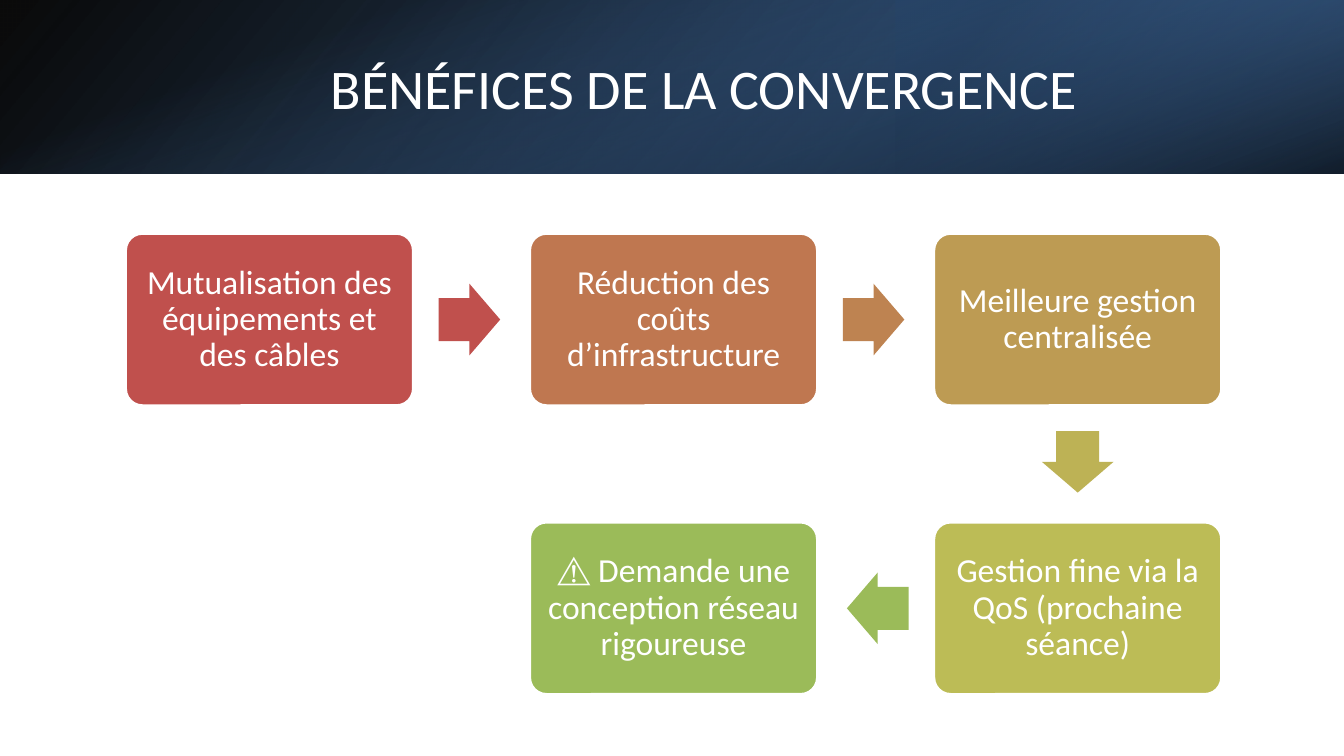
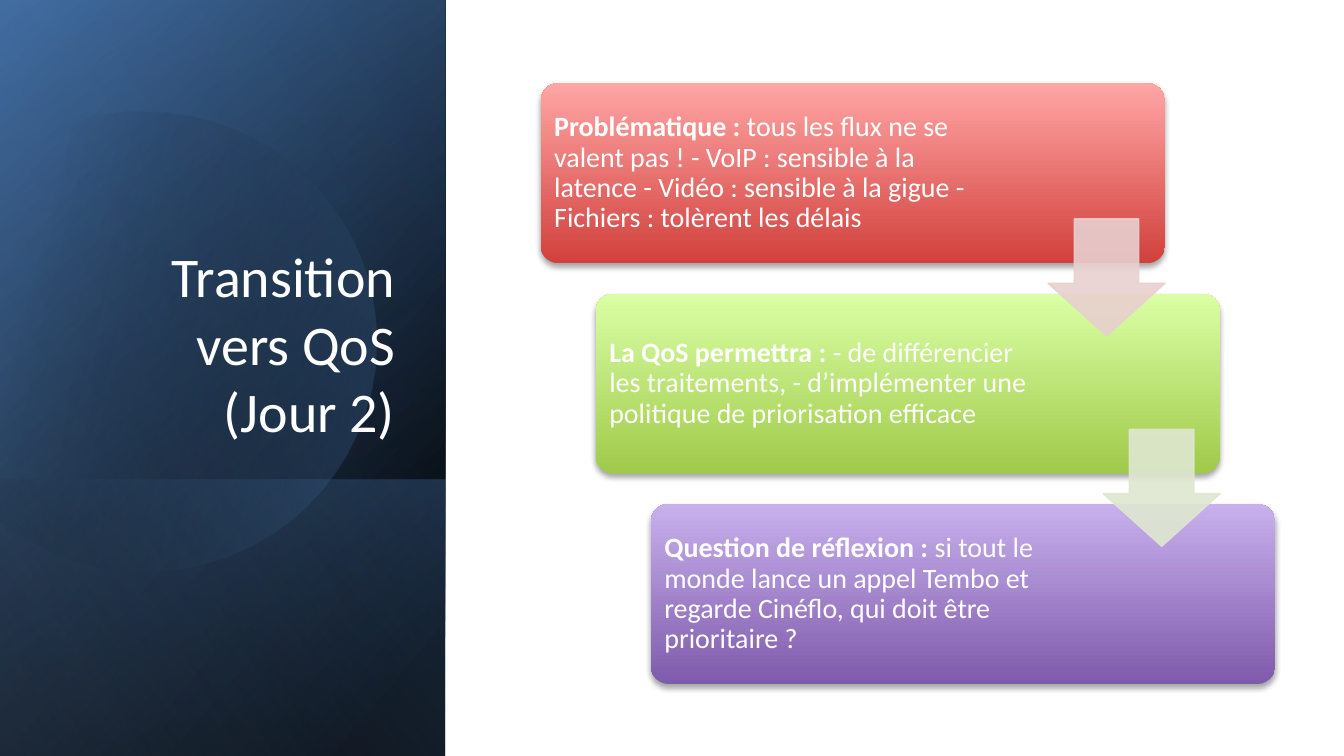
from dataclasses import dataclass
from itertools import pairwise
from math import atan2, cos, degrees, radians, sin
from typing import NamedTuple

from lxml.etree import SubElement
from pptx import Presentation
from pptx.dml.color import RGBColor
from pptx.enum.shapes import MSO_SHAPE
from pptx.enum.text import MSO_ANCHOR, MSO_AUTO_SIZE, PP_ALIGN
from pptx.oxml.ns import qn
from pptx.shapes.autoshape import Shape
from pptx.slide import Slide
from pptx.text.text import TextFrame
from pptx.util import Pt


@dataclass(frozen=True)
class Theme:
    font: str = "Calibri"
    title_size: float = 30
    step_size: float = 18
    stage_size: float = 15
    white: str = "FFFFFF"
    black: str = "000000"
    navy: str = "254061"
    steel: str = "376092"
    blue: str = "4F81BD"
    pale_blue: str = "95B3D7"
    step_fills: tuple[str, ...] = ("C0504D", "BF7750", "BD9B53", "BCBC56", "9BBB59")
    step_arrows: tuple[str, ...] = ("C0504D", "BE8351", "BDB255", "9BBB59")
    stage_darks: tuple[str, ...] = ("D1403C", "A0CA4A", "7F5BAB")
    stage_lights: tuple[str, ...] = ("FFA6A5", "DAFFA5", "C8B0ED")
    stage_arrows: tuple[str, ...] = ("E8D0D0", "DEE7D1")


THEME = Theme()


class Box(NamedTuple):
    x: float
    y: float
    w: float
    h: float

    @property
    def center(self) -> tuple[float, float]:
        return self.x + self.w / 2, self.y + self.h / 2

    def inset(self, d: float) -> "Box":
        return Box(self.x + d, self.y + d, self.w - 2 * d, self.h - 2 * d)


class Stop(NamedTuple):
    pos: int
    color: str
    alpha: int = 100


class Band(NamedTuple):
    box: Box
    stops: tuple[Stop, Stop]
    angle: int
    rotation: int = 0
    flip: bool = True


class Step(NamedTuple):
    text: str
    col: int
    row: int


class Stage(NamedTuple):
    lead: str
    body: str
    text_width: float


HEADER = Box(0, 0, 720, 93)
PANEL = Box(0, 0, 238.5, 405)

HEADER_BANDS = (
    Band(HEADER, (Stop(0, THEME.black, 96), Stop(100, THEME.steel)), 140),
    Band(Box(480, 0, 240, 93), (Stop(19, THEME.navy, 68), Stop(100, THEME.blue, 79)), 320, 180),
    Band(HEADER, (Stop(23, THEME.blue, 0), Stop(99, THEME.black, 74)), 340, 90, False),
)
PANEL_BANDS = (
    Band(PANEL, (Stop(8, THEME.black), Stop(100, THEME.steel)), 50, 90),
    Band(PANEL, (Stop(0, THEME.black, 0), Stop(99, THEME.blue, 46)), 30, 90),
    Band(Box(0, 257, 238.5, 148), (Stop(2, THEME.blue, 29), Stop(100, THEME.black, 30)), 130, 90),
)
PANEL_VEIL = Band(PANEL, (Stop(0, THEME.black, 0), Stop(99, THEME.pale_blue, 11)), 120, 90)

DISC_CENTER = (85.7, 181)
DISC_ROTATION = 343.9
DISC_STOPS = (Stop(29, THEME.black, 0), Stop(100, THEME.blue, 43))
DISC_START = (79.9, 59.8)
DISC_CURVES = (
    ((133.2, 60.5), (180.7, 95.8), (196.6, 149)),
    ((215.3, 214.6), (177.1, 283), (111.6, 301.7)),
    ((70.6, 313.2), (28.8, 303.1), (-1.4, 277.9)),
    ((-4, 275.8), (-6, 273.5), (-7.9, 271.4)),
    ((-7.9, 212), (-7.9, 153), (-7.9, 94.3)),
    ((-5, 92), (-2.5, 89.5), (0, 87.1)),
    ((12.2, 77), (27.4, 69.1), (43.2, 64.1)),
    ((55.4, 60.5), (67, 59), (79.9, 59.8)),
)

STEPS = (
    Step("Mutualisation des équipements et des câbles", 0, 0),
    Step("Réduction des coûts d’infrastructure", 1, 0),
    Step("Meilleure gestion centralisée", 2, 0),
    Step("Gestion fine via la QoS (prochaine séance)", 2, 1),
    Step("⚠️ Demande une conception réseau rigoureuse", 1, 1),
)
STAGES = (
    Stage("Problématique :", " tous les flux ne se valent pas ! - VoIP : sensible à la latence"
          " - Vidéo : sensible à la gigue - Fichiers : tolèrent les délais", 230.4),
    Stage("La QoS permettra :", " - de différencier les traitements,"
          " - d’implémenter une politique de priorisation efficace", 236.9),
    Stage("Question de réflexion :", " si tout le monde lance un appel Tembo"
          " et regarde Cinéflo, qui doit être prioritaire ?", 236.9),
)


def rgb(color: str) -> RGBColor:
    return RGBColor.from_string(color)


def place(sp: Shape, box: Box) -> None:
    sp.left, sp.top, sp.width, sp.height = (Pt(v) for v in box)


def add_plain(s: Slide, kind: MSO_SHAPE, box: Box, adjustments: tuple[float, ...] = ()) -> Shape:
    sp = s.shapes.add_shape(kind, *(Pt(v) for v in box))
    sp.shadow.inherit = False
    sp.line.fill.background()
    for i, value in enumerate(adjustments):
        sp.adjustments[i] = value
    return sp


def fill_solid(sp: Shape, color: str) -> None:
    sp.fill.solid()
    sp.fill.fore_color.rgb = rgb(color)


def outline(sp: Shape, color: str, width: float) -> None:
    sp.line.color.rgb = rgb(color)
    sp.line.width = Pt(width)


def add_alpha(clr, percent: int) -> None:
    SubElement(clr, qn("a:alpha"), val=str(percent * 1000))


def fill_gradient(sp: Shape, stops: tuple[Stop, ...], angle: int) -> None:
    sp.fill.background()
    spPr = sp._element.spPr
    grad = SubElement(spPr, qn("a:gradFill"), rotWithShape="1")
    spPr.replace(spPr.find(qn("a:noFill")), grad)
    gs_list = SubElement(grad, qn("a:gsLst"))
    for stop in stops:
        gs = SubElement(gs_list, qn("a:gs"), pos=str(stop.pos * 1000))
        clr = SubElement(gs, qn("a:srgbClr"), val=stop.color)
        if stop.alpha < 100:
            add_alpha(clr, stop.alpha)
    SubElement(grad, qn("a:lin"), ang=str(angle * 60000), scaled="0")


def add_drop_shadow(sp: Shape) -> None:
    effects = sp._element.spPr.find(qn("a:effectLst"))
    shadow = SubElement(effects, qn("a:outerShdw"), blurRad=str(Pt(3.1)), dist=str(Pt(1.8)),
                        dir="5400000", rotWithShape="0")
    add_alpha(SubElement(shadow, qn("a:srgbClr"), val=THEME.black), 35)


def format_text(tf: TextFrame, size: float, align: PP_ALIGN, anchor: MSO_ANCHOR) -> None:
    tf.word_wrap = True
    tf.auto_size = MSO_AUTO_SIZE.NONE
    tf.vertical_anchor = anchor
    for p in tf.paragraphs:
        p.alignment = align
        for r in p.runs:
            r.font.name = THEME.font
            r.font.size = Pt(size)
            r.font.color.rgb = rgb(THEME.white)


def add_label(s: Slide, box: Box, parts: tuple[str, ...], size: float, align: PP_ALIGN,
              margin: float) -> None:
    tf = s.shapes.add_textbox(*(Pt(v) for v in box)).text_frame
    tf.margin_left = tf.margin_right = tf.margin_top = tf.margin_bottom = Pt(margin)
    p = tf.paragraphs[0]
    p.line_spacing = 0.9
    for part in parts:
        p.add_run().text = part
    if len(parts) > 1:
        p.runs[0].font.bold = True
    format_text(tf, size, align, MSO_ANCHOR.MIDDLE)


def add_title(s: Slide, text: str, box: Box, align: PP_ALIGN, anchor: MSO_ANCHOR) -> None:
    sp = s.shapes.title
    place(sp, box)
    sp.text_frame.text = text
    format_text(sp.text_frame, THEME.title_size, align, anchor)
    s.shapes._spTree.append(sp._element)


def add_band(s: Slide, band: Band) -> None:
    box = band.box
    if band.rotation == 90:
        cx, cy = box.center
        box = Box(cx - box.h / 2, cy - box.w / 2, box.h, box.w)
    sp = add_plain(s, MSO_SHAPE.RECTANGLE, box)
    sp.rotation = band.rotation
    if band.flip:
        sp._element.spPr.find(qn("a:xfrm")).set("flipH", "1")
    fill_gradient(sp, band.stops, band.angle)


def unrotate(point: tuple[float, float]) -> tuple[float, float]:
    turn = radians(-DISC_ROTATION)
    cx, cy = DISC_CENTER
    dx, dy = point[0] - cx, point[1] - cy
    return cx + dx * cos(turn) - dy * sin(turn), cy + dx * sin(turn) + dy * cos(turn)


def add_disc(s: Slide, samples: int = 16) -> None:
    points = [DISC_START]
    for c1, c2, end in DISC_CURVES:
        start = points[-1]
        for i in range(1, samples + 1):
            t = i / samples
            u = 1 - t
            points.append(tuple(
                u**3 * a + 3 * u * u * t * b + 3 * u * t * t * c + t**3 * d
                for a, b, c, d in zip(start, c1, c2, end)))
    first, *rest = [tuple(Pt(v) for v in unrotate(point)) for point in points]
    builder = s.shapes.build_freeform(*first)
    builder.add_line_segments(rest, close=True)
    sp = builder.convert_to_shape()
    sp.shadow.inherit = False
    sp.line.fill.background()
    sp.rotation = DISC_ROTATION
    fill_gradient(sp, DISC_STOPS, 30)


def add_step_arrow(s: Slide, start: Box, end: Box, color: str) -> None:
    (x1, y1), (x2, y2) = start.center, end.center
    heading = atan2(y2 - y1, x2 - x1)
    w, h, setback = 33, 38.4, 1.1
    cx = (x1 + x2) / 2 - setback * cos(heading)
    cy = (y1 + y2) / 2 - setback * sin(heading)
    sp = add_plain(s, MSO_SHAPE.RIGHT_ARROW, Box(cx - w / 2, cy - h / 2, w, h), (0.6, 0.5))
    sp.rotation = degrees(heading) % 360
    fill_solid(sp, color)


def build_benefits(s: Slide) -> None:
    for band in HEADER_BANDS:
        add_band(s, band)
    add_title(s, "BÉNÉFICES DE LA CONVERGENCE", Box(80.6, 20.9, 593.3, 51.8),
              PP_ALIGN.CENTER, MSO_ANCHOR.MIDDLE)
    boxes = [Box(67 + 216.5 * step.col, 124.8 + 154.7 * step.row, 154.7, 92.8) for step in STEPS]
    for step, box, color in zip(STEPS, boxes, THEME.step_fills):
        sp = add_plain(s, MSO_SHAPE.ROUNDED_RECTANGLE, box, (0.1,))
        fill_solid(sp, color)
        outline(sp, THEME.white, 2)
        add_label(s, box.inset(2.7), (step.text,), THEME.step_size, PP_ALIGN.CENTER, 5.4)
    for (start, end), color in zip(pairwise(boxes), THEME.step_arrows):
        add_step_arrow(s, start, end, color)


def build_transition(s: Slide) -> None:
    for band in PANEL_BANDS:
        add_band(s, band)
    add_disc(s)
    add_band(s, PANEL_VEIL)
    add_title(s, "Transition vers QoS (Jour 2)", Box(34.6, 99.4, 184.3, 141.8),
              PP_ALIGN.RIGHT, MSO_ANCHOR.BOTTOM)
    boxes = [Box(289.6 + 29.5 * i, 44.6 + 112.7 * i, 334.6, 96.5) for i in range(len(STAGES))]
    for stage, box, dark, light in zip(STAGES, boxes, THEME.stage_darks, THEME.stage_lights):
        sp = add_plain(s, MSO_SHAPE.ROUNDED_RECTANGLE, box, (0.1,))
        fill_gradient(sp, (Stop(0, dark), Stop(100, light)), 270)
        add_drop_shadow(sp)
        label = box.inset(2.8)._replace(w=stage.text_width)
        add_label(s, label, (stage.lead, stage.body), THEME.stage_size, PP_ALIGN.LEFT, 4.5)
    size = 62.7
    for box, color in zip(boxes, THEME.stage_arrows):
        arrow = Box(box.x + box.w - size, box.y + 72.7, size, size)
        sp = add_plain(s, MSO_SHAPE.DOWN_ARROW, arrow, (0.55, 0.45))
        fill_solid(sp, color)
        outline(sp, color, 0.75)
        for clr in sp._element.spPr.iter(qn("a:srgbClr")):
            add_alpha(clr, 90)


def main() -> None:
    prs = Presentation()
    prs.slide_width, prs.slide_height = Pt(720), Pt(405)
    title_only = prs.slide_layouts[5]
    for build in (build_benefits, build_transition):
        build(prs.slides.add_slide(title_only))
    prs.save("out.pptx")


if __name__ == "__main__":
    main()
